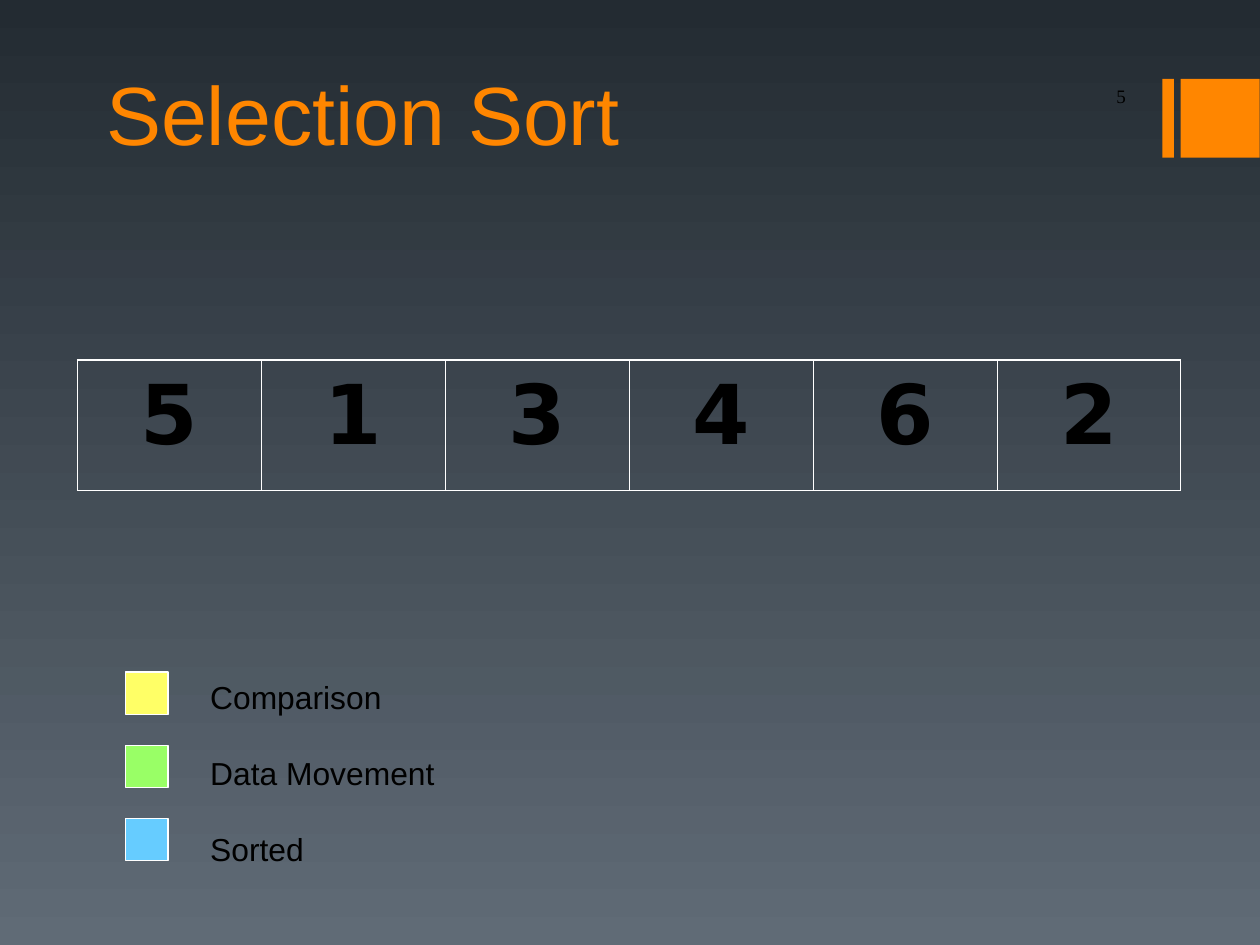
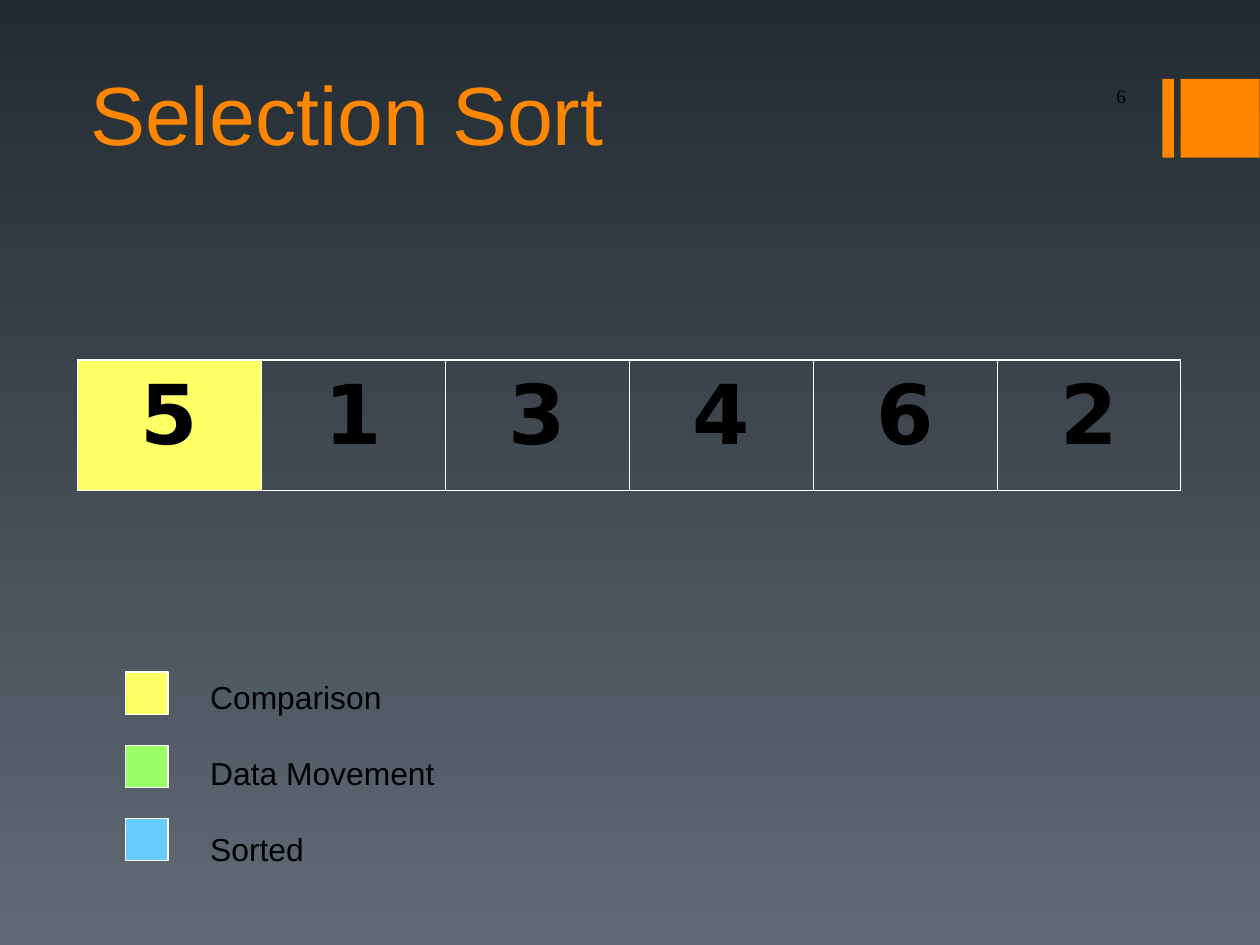
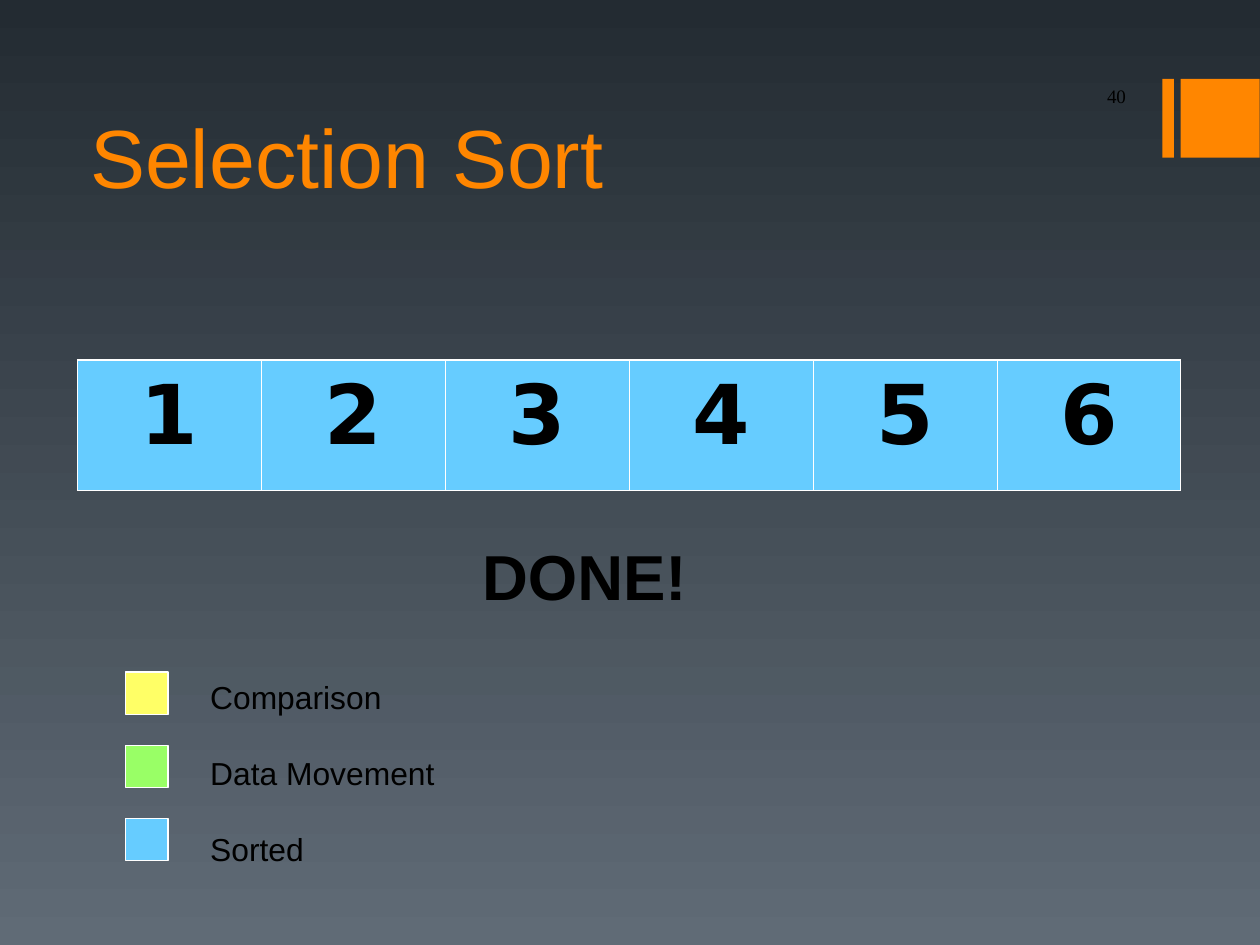
from lxml.etree import SubElement
from pptx import Presentation
from pptx.dml.color import RGBColor
from pptx.enum.shapes import MSO_SHAPE
from pptx.enum.text import MSO_ANCHOR, PP_ALIGN
from pptx.oxml.ns import qn
from pptx.util import Inches, Pt

WIDTH, HEIGHT = 28 / 2.54, 21 / 2.54  # 28 by 21 cm
ORANGE, WHITE, BLACK = "FF8600", "FFFFFF", "000000"
YELLOW, GREEN, BLUE = "FFFF66", "99FF66", "66CCFF"
SKY = ("232B32", "606B76")
BANDS = [(10.17, 0.1), (10.33, 0.69)]  # left, width

TITLE = "Selection Sort"
LEGEND = [("Comparison", YELLOW), ("Data Movement", GREEN), ("Sorted", BLUE)]
SLIDES = [
    dict(page="5", title_at=(0.83, 0), values="513462", fills={}),
    dict(page="6", title_at=(0.69, 0), values="513462", fills={0: YELLOW}),
    dict(page="40", title_at=(0.69, 0.37), values="123456",
         fills=dict.fromkeys(range(6), BLUE), note="DONE!"),
]

OUTER, INNER = 1.08, 0.45  # table line widths in points


def rgb(code):
    return RGBColor.from_string(code)


def write(frame, *lines, size, font="Arial", color=BLACK, bold=False,
          align=PP_ALIGN.LEFT, anchor=MSO_ANCHOR.TOP, after=0, spacing=None):
    """Fill a text frame with one paragraph per line."""
    frame.word_wrap = True
    frame.vertical_anchor = anchor
    for i, line in enumerate(lines):
        para = frame.add_paragraph() if i else frame.paragraphs[0]
        para.alignment, para.space_after = align, Pt(after)
        para.line_spacing = spacing
        run = para.add_run()
        run.text = line
        run.font.size, run.font.name, run.font.bold = Pt(size), font, bold
        run.font.color.rgb = rgb(color)


def add_text(slide, box, *lines, **style):
    frame = slide.shapes.add_textbox(*map(Inches, box)).text_frame
    write(frame, *lines, **style)


def add_rect(slide, box, fill, line=None):
    rect = slide.shapes.add_shape(MSO_SHAPE.RECTANGLE, *map(Inches, box))
    rect.shadow.inherit = False
    rect.fill.solid()
    rect.fill.fore_color.rgb = rgb(fill)
    if line:
        rect.line.color.rgb = rgb(line)
        rect.line.width = Pt(0.75)
    else:
        rect.line.fill.background()
    return rect


def set_borders(cell, **widths):
    props = cell._tc.get_or_add_tcPr()
    for side in "LRTB":
        line = SubElement(props, qn(f"a:ln{side}"), w=str(Pt(widths[side])))
        SubElement(SubElement(line, qn("a:solidFill")), qn("a:srgbClr"), val=WHITE)


def add_array(slide, values, fills):
    count = len(values)
    box = map(Inches, (0.68, 3.15, 9.65, 1.14))
    table = slide.shapes.add_table(1, count, *box).table
    table.first_row = table.horz_banding = False
    for i, value in enumerate(values):
        cell = table.cell(0, i)
        set_borders(cell, L=INNER if i else OUTER,
                    R=INNER if i < count - 1 else OUTER, T=OUTER, B=OUTER)
        if i in fills:
            cell.fill.solid()
            cell.fill.fore_color.rgb = rgb(fills[i])
        else:
            cell.fill.background()
        write(cell.text_frame, value, size=52, font="DejaVu Sans", bold=True,
              align=PP_ALIGN.CENTER, spacing=1.02)


def add_legend(slide):
    for i, (_, color) in enumerate(LEGEND):
        add_rect(slide, (1.1, 5.88 + 0.64 * i, 0.37, 0.37), color, line=WHITE)
    add_text(slide, (1.74, 5.88, 2.38, 1.76), *(name for name, _ in LEGEND),
             size=20, after=24)


def set_theme(deck, layout, slide):
    """Give the master its background and the layout its orange bands."""
    fill = deck.slide_master.background.fill
    fill.gradient()
    fill.gradient_angle = 270
    for stop, color in zip(fill.gradient_stops, SKY):
        stop.color.rgb = rgb(color)
    tree = layout.shapes.element
    for holder in list(layout.placeholders):
        tree.remove(holder.element)
    bands = [add_rect(slide, (left, 0.69, width, 0.69), ORANGE)
             for left, width in BANDS]
    for band in bands:
        tree.append(band.element)


def add_slide(slide, page, title_at, values, fills, note=None):
    add_text(slide, (*title_at, 9.65, 1.47), TITLE, size=52, color=ORANGE,
             anchor=MSO_ANCHOR.BOTTOM)
    add_array(slide, values, fills)
    add_legend(slide)
    if note:
        add_text(slide, (4.12, 4.65, 2.22, 0.85), note, size=40, bold=True)
    add_text(slide, (8.82, 0.66, 1.13, 0.36), page, size=12,
             font="Times New Roman", align=PP_ALIGN.RIGHT,
             anchor=MSO_ANCHOR.MIDDLE)


def main():
    deck = Presentation()
    deck.slide_width, deck.slide_height = Inches(WIDTH), Inches(HEIGHT)
    layout = deck.slide_layouts[6]
    slides = [deck.slides.add_slide(layout) for _ in SLIDES]
    set_theme(deck, layout, slides[0])
    for slide, content in zip(slides, SLIDES):
        add_slide(slide, **content)
    deck.save("out.pptx")


if __name__ == "__main__":
    main()
